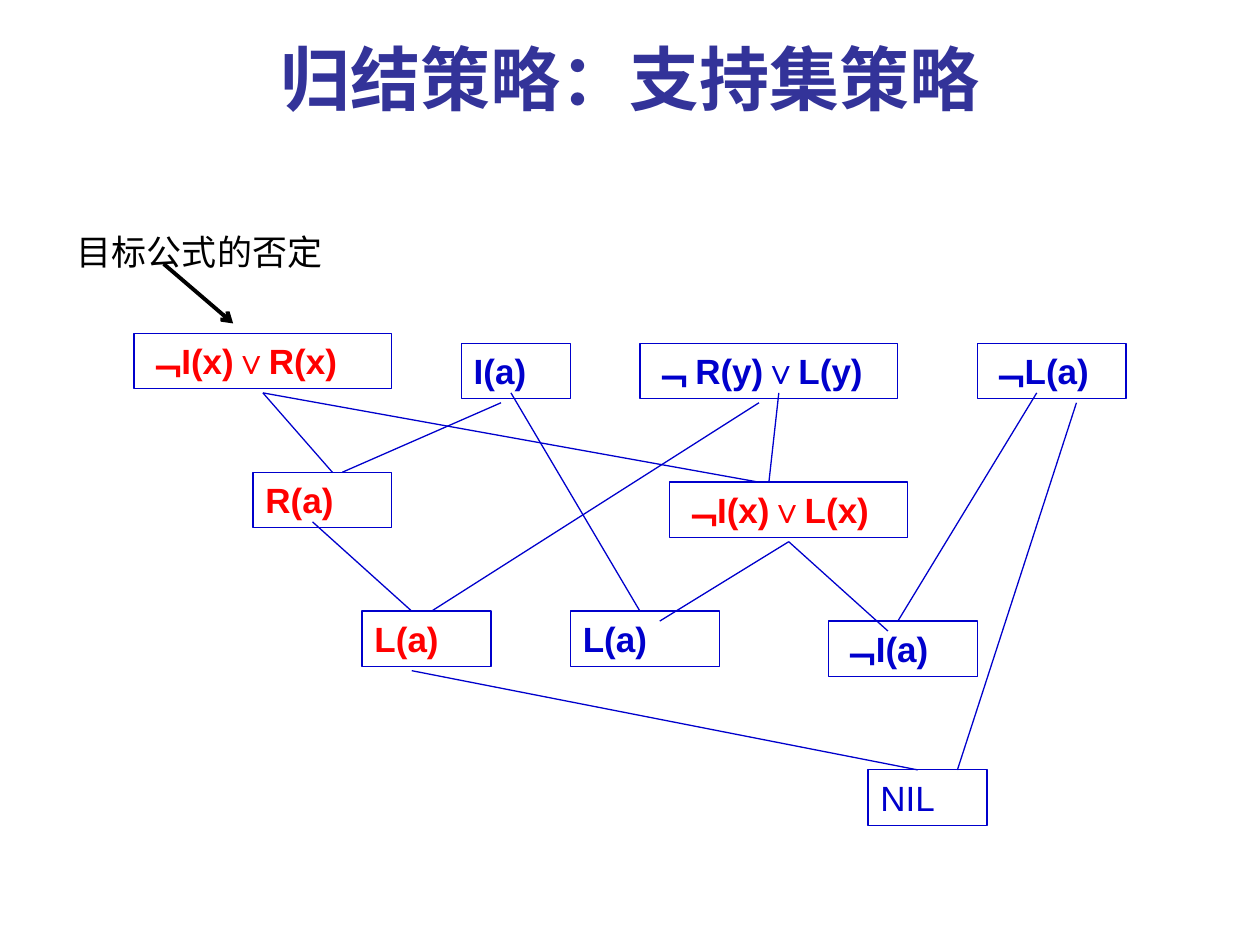
"""Build a slide showing a resolution graph for the set-of-support strategy."""
import pptx
import pptx.dml.color
import pptx.enum.shapes
import pptx.enum.text
import pptx.oxml
import pptx.oxml.ns
import pptx.util
from pptx.util import Cm

BLUE, RED, BLACK, INDIGO = "0000CC", "FF0000", "000000", "333399"
ALIGN = pptx.enum.text.PP_ALIGN
ANCHOR = pptx.enum.text.MSO_ANCHOR
FIT = pptx.enum.text.MSO_AUTO_SIZE


def color(value):
    """Turn a hex string into a colour."""
    return pptx.dml.color.RGBColor.from_string(value)


def write(shape, text, size=20, font="Arial", ink=BLUE, bold=False,
          align=ALIGN.LEFT, anchor=ANCHOR.TOP, wrap=True, fit=FIT.SHAPE_TO_FIT_TEXT):
    """Put one formatted paragraph into a shape."""
    frame = shape.text_frame
    frame.word_wrap, frame.auto_size, frame.vertical_anchor = wrap, fit, anchor
    para = frame.paragraphs[0]
    para.alignment = align
    span = para.add_run()
    span.text = text
    span.font.size = pptx.util.Pt(size)
    span.font.name = font
    span.font.bold = bold
    span.font.color.rgb = color(ink)


deck = pptx.Presentation()
deck.slide_width, deck.slide_height = Cm(25.4), Cm(19.05)
page = deck.slides.add_slide(deck.slide_layouts[5])

clauses = [
    ("﹁I(x)∨R(x)", 2.7, 6.72, 5.2, RED, True),
    ("I(a)", 9.3, 6.92, 2.2, BLUE, True),
    ("﹁ R(y)∨L(y)", 12.9, 6.92, 5.2, BLUE, True),
    ("﹁L(a)", 19.7, 6.92, 3, BLUE, True),
    ("R(a)", 5.1, 9.52, 2.8, RED, True),
    ("﹁I(x)∨L(x)", 13.5, 9.72, 4.8, RED, True),
    ("L(a)", 7.3, 12.32, 2.6, RED, True),
    ("L(a)", 11.5, 12.32, 3, BLUE, True),
    ("﹁I(a)", 16.7, 12.52, 3, BLUE, True),
    ("NIL", 17.5, 15.52, 2.4, BLUE, False),
]
for text, left, top, width, ink, bold in clauses:
    box = page.shapes.add_shape(pptx.enum.shapes.MSO_SHAPE.RECTANGLE,
                                Cm(left), Cm(top), Cm(width), Cm(1.12))
    box.shadow.inherit = False
    box.fill.background()
    box.line.color.rgb = color(BLUE)
    box.line.width = pptx.util.Pt(0.75)
    write(box, text, ink=ink, bold=bold)

title = page.shapes.title
title.left, title.top, title.width, title.height = Cm(1.27), Cm(0), Cm(22.86), Cm(3.12)
write(title, "归结策略：支持集策略", size=40, font="Times New Roman", ink=INDIGO, bold=True,
      align=ALIGN.CENTER, anchor=ANCHOR.MIDDLE, fit=FIT.NONE)

goal_label = page.shapes.add_textbox(Cm(1.3), Cm(4.52), Cm(5.51), Cm(1.12))
write(goal_label, "目标公式的否定", ink=BLACK, wrap=False)

resolution_steps = [
    (5.3, 7.92, 6.7, 9.52), (10.1, 8.12, 6.9, 9.52),
    (5.3, 7.92, 15.3, 9.72), (15.7, 7.92, 15.5, 9.72),
    (6.3, 10.52, 8.3, 12.32), (15.3, 8.12, 8.7, 12.32),
    (10.3, 7.92, 12.9, 12.32), (15.9, 10.92, 13.3, 12.52),
    (15.9, 10.92, 17.9, 12.72), (20.9, 7.92, 18.1, 12.52),
    (8.3, 13.52, 18.5, 15.52), (21.7, 8.12, 19.3, 15.52),
]
goal_pointer = (3.3, 5.32, 4.7, 6.52)
for ends in resolution_steps + [goal_pointer]:
    is_pointer = ends == goal_pointer
    line = page.shapes.add_connector(pptx.enum.shapes.MSO_CONNECTOR.STRAIGHT,
                                     *[Cm(value) for value in ends])
    line.line.color.rgb = color(BLACK if is_pointer else BLUE)
    line.line.width = pptx.util.Pt(2.25 if is_pointer else 0.75)
    if is_pointer:
        tail = pptx.oxml.parse_xml(f'<a:tailEnd {pptx.oxml.ns.nsdecls("a")} type="arrow"/>')
        line.line._get_or_add_ln().append(tail)
    effects = pptx.oxml.parse_xml(f'<a:effectLst {pptx.oxml.ns.nsdecls("a")}/>')
    line._element.spPr.append(effects)

deck.save("out.pptx")
